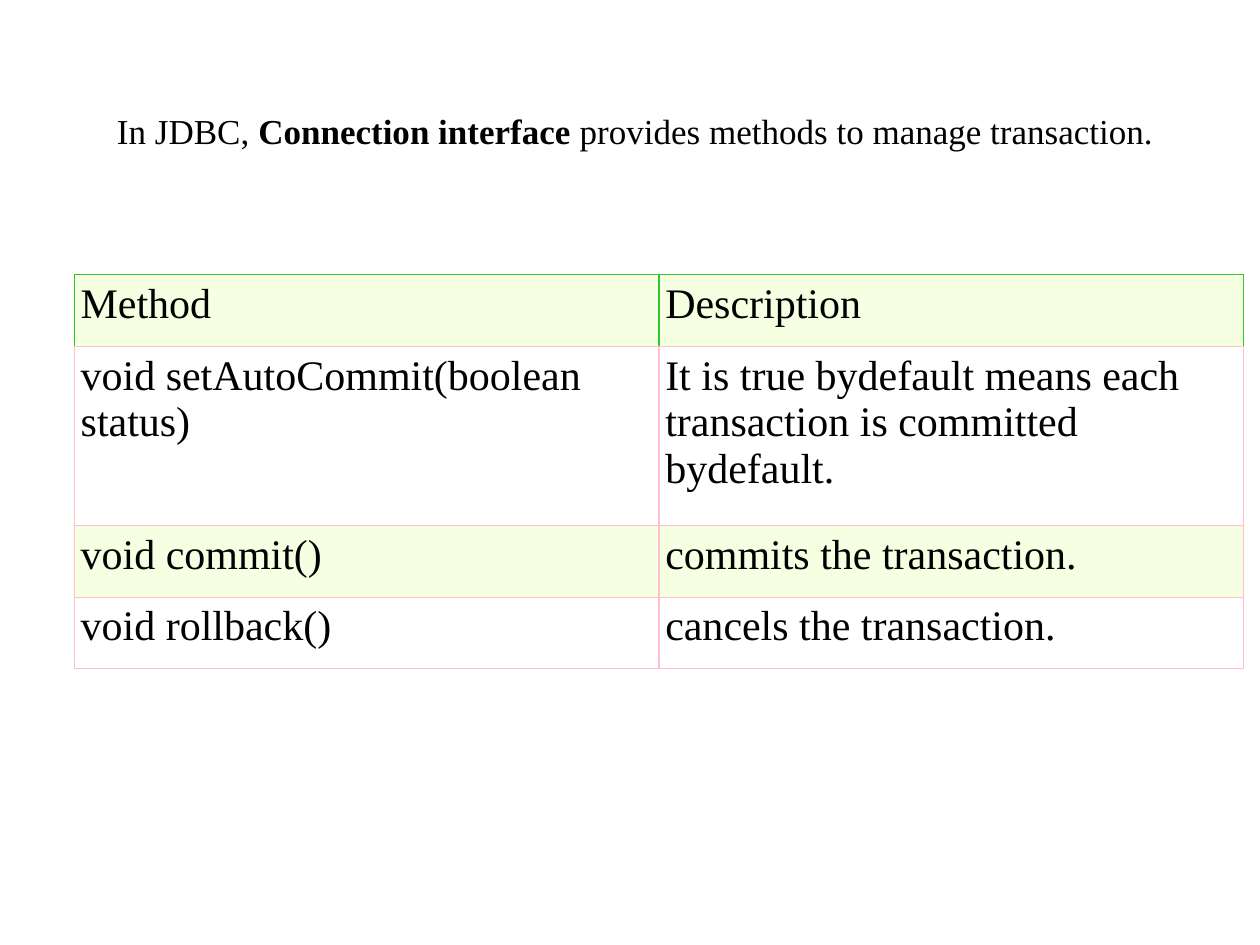
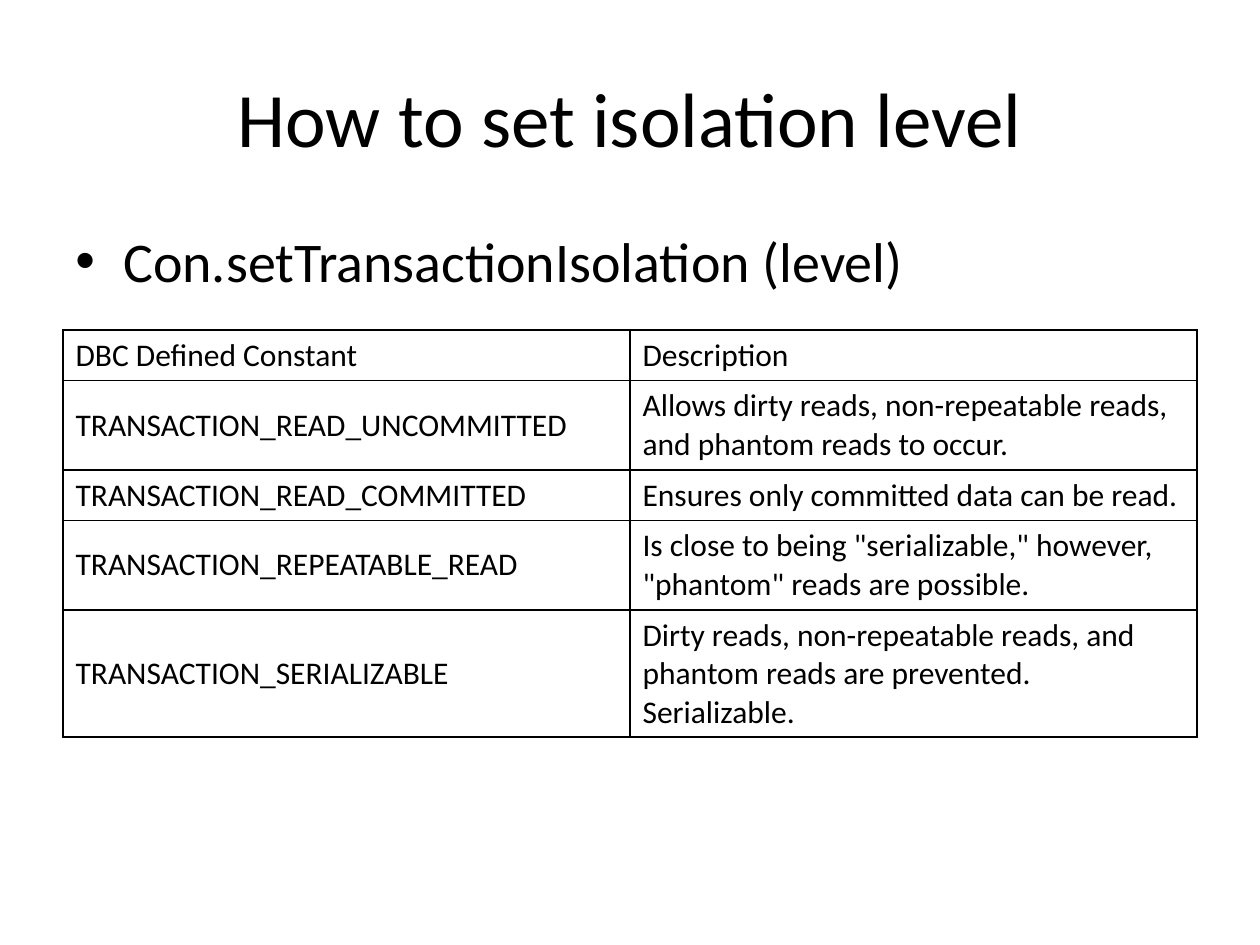
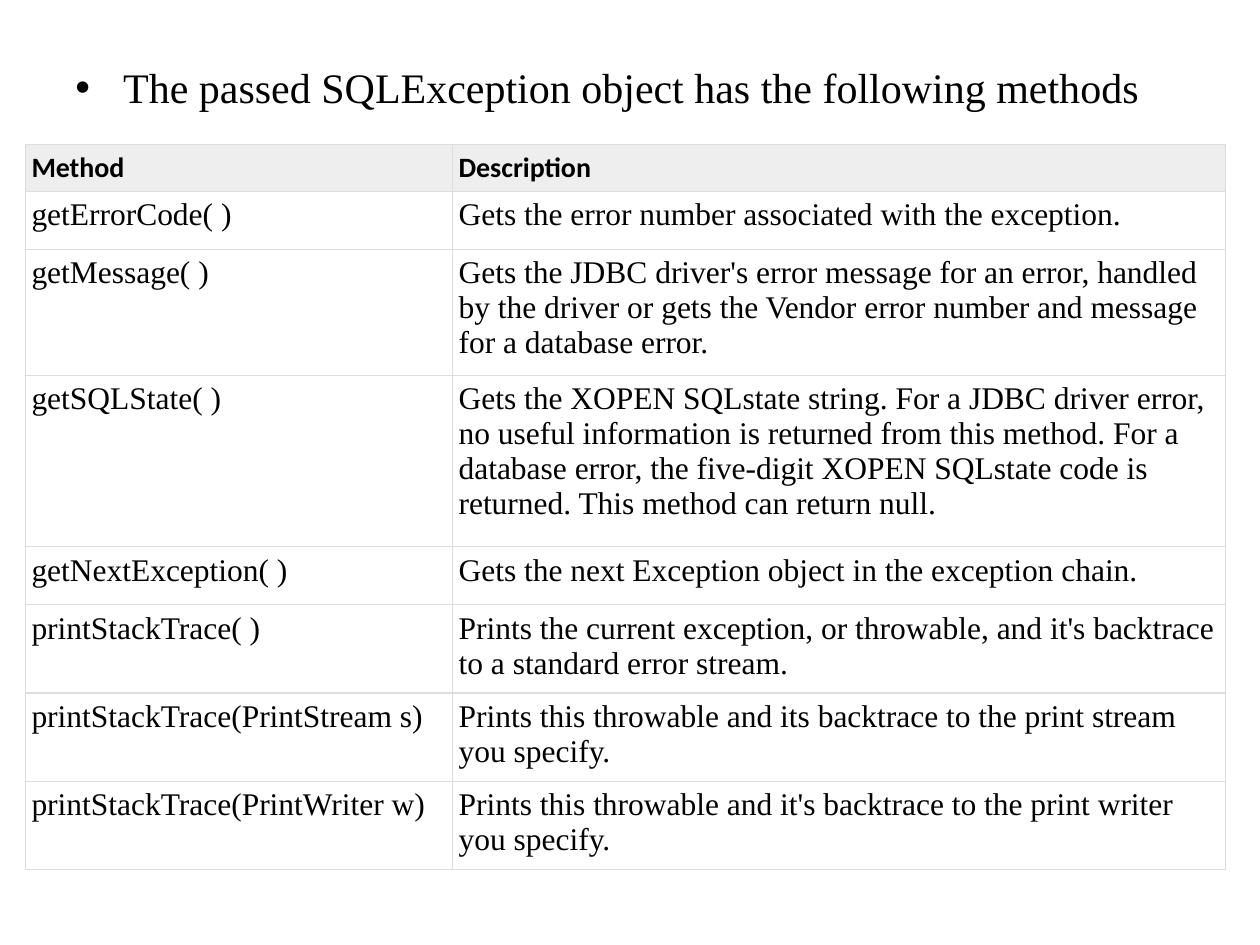
from dataclasses import dataclass

from lxml.etree import SubElement
from pptx import Presentation
from pptx.dml.color import RGBColor
from pptx.enum.text import MSO_ANCHOR, PP_ALIGN
from pptx.oxml.ns import qn
from pptx.util import Inches, Pt


# Shared look
@dataclass(frozen=True)
class Theme:
    sans: str = "Calibri"
    serif: str = "Times New Roman"
    ink: str = "000000"
    white: str = "FFFFFF"
    lime: str = "F6FFE1"
    green: str = "30CA2E"
    pink: str = "FFC0CB"
    pale_gray: str = "EEEEEE"
    line_gray: str = "DDDDDD"
    title_size: int = 44
    bullet_size: int = 32
    large: int = 24
    intro_size: int = 20
    medium: int = 18
    small: int = 16


THEME = Theme()
TITLE_ONLY, BLANK = 5, 6


@dataclass(frozen=True)
class Box:
    left: float
    top: float
    width: float
    height: float

    def inches(self) -> tuple:
        return tuple(Inches(v) for v in (self.left, self.top, self.width, self.height))


@dataclass(frozen=True)
class TextStyle:
    font: str
    size: int
    bold: bool = False


@dataclass(frozen=True)
class Grid:
    """A two-column reference table; fills cycle through the rows below the header."""
    left: float
    top: float
    columns: tuple[float, ...]
    heights: tuple[float, ...]
    header: TextStyle
    body: TextStyle
    border: str
    border_width: float
    header_fill: str | None = None
    body_fills: tuple[str | None, ...] = (None,)
    header_border: str | None = None
    inset: tuple[float, float] = (0.1, 0.05)
    anchor: MSO_ANCHOR = MSO_ANCHOR.TOP


# Text
def write(frame, *parts: str, font: str, size: int, bold: bool = False,
          bold_part: int | None = None, align: PP_ALIGN = PP_ALIGN.LEFT,
          bullet: bool = False) -> None:
    """Fill the first paragraph with one run per part."""
    paragraph = frame.paragraphs[0]
    paragraph.alignment = align
    for index, part in enumerate(parts):
        run = paragraph.add_run()
        run.text = part
        run.font.name = font
        run.font.size = Pt(size)
        run.font.bold = bold or index == bold_part
        run.font.color.rgb = RGBColor.from_string(THEME.ink)
    if bullet:
        paragraph.space_before = Pt(size * 0.2)
        properties = paragraph._p.get_or_add_pPr()
        properties.set("marL", str(Inches(0.38)))
        properties.set("indent", str(Inches(-0.38)))
        SubElement(properties, qn("a:buFont"), typeface="Arial")
        SubElement(properties, qn("a:buChar"), char="•")


def add_text(slide, box: Box, *parts: str, wrap: bool = True, **text_format) -> None:
    frame = slide.shapes.add_textbox(*box.inches()).text_frame
    frame.word_wrap = wrap
    write(frame, *parts, **text_format)


def set_title(slide, box: Box, text: str) -> None:
    title = slide.shapes.title
    title.left, title.top, title.width, title.height = box.inches()
    title.text_frame.vertical_anchor = MSO_ANCHOR.MIDDLE
    write(title.text_frame, text, font=THEME.sans, size=THEME.title_size,
          align=PP_ALIGN.CENTER)


# Tables
def set_borders(cell, colors: dict[str, str], width: float) -> None:
    properties = cell._tc.get_or_add_tcPr()
    for index, (side, color) in enumerate(colors.items()):
        line = properties.makeelement(qn(f"a:ln{side}"), {"w": str(Pt(width))})
        fill = SubElement(line, qn("a:solidFill"))
        SubElement(fill, qn("a:srgbClr"), val=color)
        properties.insert(index, line)


def add_grid(slide, grid: Grid, rows: list[tuple[str, str]]) -> None:
    box = Box(grid.left, grid.top, sum(grid.columns), sum(grid.heights))
    table = slide.shapes.add_table(len(rows), len(grid.columns), *box.inches()).table
    table.first_row = table.horz_banding = False
    for column, width in zip(table.columns, grid.columns):
        column.width = Inches(width)
    for r, (row, height) in enumerate(zip(rows, grid.heights)):
        table.rows[r].height = Inches(height)
        is_header = r == 0
        style = grid.header if is_header else grid.body
        fill = (grid.header_fill if is_header
                else grid.body_fills[(r - 1) % len(grid.body_fills)])
        edges = dict.fromkeys("LRTB", grid.border)
        if is_header and grid.header_border:
            edges |= dict.fromkeys("LRT", grid.header_border)
        for c, text in enumerate(row):
            cell = table.cell(r, c)
            cell.margin_left = cell.margin_right = Inches(grid.inset[0])
            cell.margin_top = cell.margin_bottom = Inches(grid.inset[1])
            cell.vertical_anchor = grid.anchor
            if fill:
                cell.fill.solid()
                cell.fill.fore_color.rgb = RGBColor.from_string(fill)
            else:
                cell.fill.background()
            set_borders(cell, edges, grid.border_width)
            write(cell.text_frame, text, font=style.font, size=style.size,
                  bold=style.bold)


# Slide 1: methods of the Connection interface
def build_connection(deck) -> None:
    slide = deck.slides.add_slide(deck.slide_layouts[BLANK])
    serif = TextStyle(THEME.serif, THEME.large)
    methods = Grid(
        left=0.59, top=2.18, columns=(4.64, 4.64), heights=(0.57, 1.42, 0.57, 0.57),
        header=serif, body=serif, border=THEME.pink, border_width=0.75,
        header_fill=THEME.lime, body_fills=(THEME.white, THEME.lime),
        header_border=THEME.green, inset=(0.05, 0.05))
    add_grid(slide, methods, [
        ("Method", "Description"),
        ("void setAutoCommit(boolean status)",
         "It is true bydefault means each transaction is committed bydefault."),
        ("void commit()", "commits the transaction."),
        ("void rollback()", "cancels the transaction."),
    ])
    add_text(slide, Box(0.83, 0.82, 8.48, 1.11),
             "In JDBC, ", "Connection interface",
             " provides methods to manage transaction.",
             wrap=False, font=THEME.serif, size=THEME.intro_size, bold_part=1)


# Slide 2: isolation levels
def build_isolation(deck) -> None:
    slide = deck.slides.add_slide(deck.slide_layouts[TITLE_ONLY])
    set_title(slide, Box(0.5, 0.3, 9, 1.25), "How to set isolation level")
    add_text(slide, Box(0.5, 1.75, 9, 4.95), "Con.setTransactionIsolation (level)",
             font=THEME.sans, size=THEME.bullet_size, bullet=True)
    sans = TextStyle(THEME.sans, THEME.medium)
    levels = Grid(
        left=0.5, top=2.62, columns=(4.5, 4.5), heights=(0.4, 0.71, 0.4, 0.71, 1.01),
        header=sans, body=sans, border=THEME.ink, border_width=1,
        anchor=MSO_ANCHOR.MIDDLE)
    add_grid(slide, levels, [
        ("DBC Defined Constant", "Description"),
        ("TRANSACTION_READ_UNCOMMITTED",
         "Allows dirty reads, non-repeatable reads, and phantom reads to occur."),
        ("TRANSACTION_READ_COMMITTED", "Ensures only committed data can be read."),
        ("TRANSACTION_REPEATABLE_READ",
         'Is close to being "serializable," however, "phantom" reads are possible.'),
        ("TRANSACTION_SERIALIZABLE",
         "Dirty reads, non-repeatable reads, and phantom reads are prevented. "
         "Serializable."),
    ])


# Slide 3: methods of SQLException
def build_exception(deck) -> None:
    slide = deck.slides.add_slide(deck.slide_layouts[BLANK])
    add_text(slide, Box(0.5, 0.44, 9, 6.26),
             "The passed SQLException object has the following methods",
             font=THEME.serif, size=THEME.large, align=PP_ALIGN.JUSTIFY, bullet=True)
    methods = Grid(
        left=0.2, top=1.15, columns=(3.39, 6.14),
        heights=(0.37, 0.46, 1, 1.36, 0.46, 0.64, 0.64, 0.64),
        header=TextStyle(THEME.sans, THEME.small, bold=True),
        body=TextStyle(THEME.serif, THEME.medium),
        border=THEME.line_gray, border_width=0.75,
        header_fill=THEME.pale_gray, inset=(0.05, 0.05))
    add_grid(slide, methods, [
        ("Method", "Description"),
        ("getErrorCode( )", "Gets the error number associated with the exception."),
        ("getMessage( )",
         "Gets the JDBC driver's error message for an error, handled by the driver "
         "or gets the Vendor error number and message for a database error."),
        ("getSQLState( )",
         "Gets the XOPEN SQLstate string. For a JDBC driver error, no useful "
         "information is returned from this method. For a database error, the "
         "five-digit XOPEN SQLstate code is returned. This method can return null."),
        ("getNextException( )",
         "Gets the next Exception object in the exception chain."),
        ("printStackTrace( )",
         "Prints the current exception, or throwable, and it's backtrace to a "
         "standard error stream."),
        ("printStackTrace(PrintStream s)",
         "Prints this throwable and its backtrace to the print stream you specify."),
        ("printStackTrace(PrintWriter w)",
         "Prints this throwable and it's backtrace to the print writer you specify."),
    ])


def main() -> None:
    deck = Presentation()
    deck.slide_width, deck.slide_height = Inches(10), Inches(7.5)
    build_connection(deck)
    build_isolation(deck)
    build_exception(deck)
    deck.save("out.pptx")


if __name__ == "__main__":
    main()
